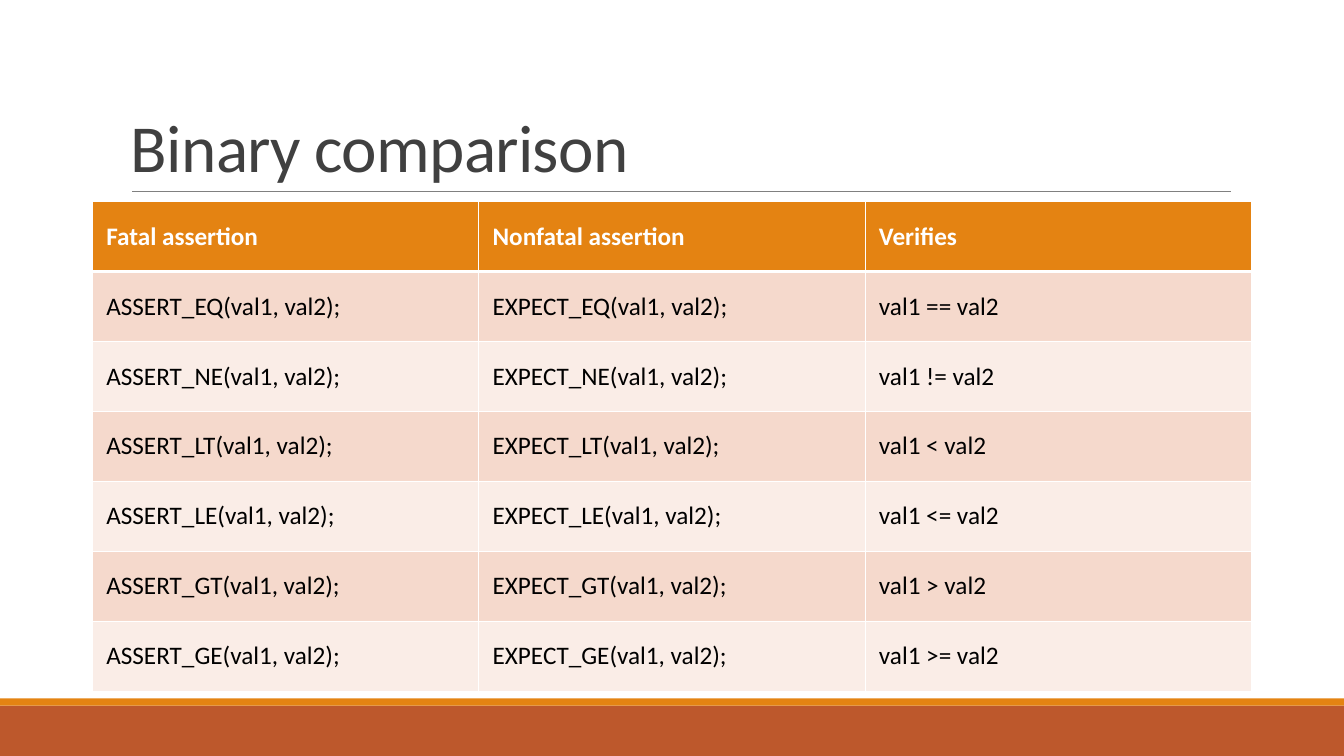
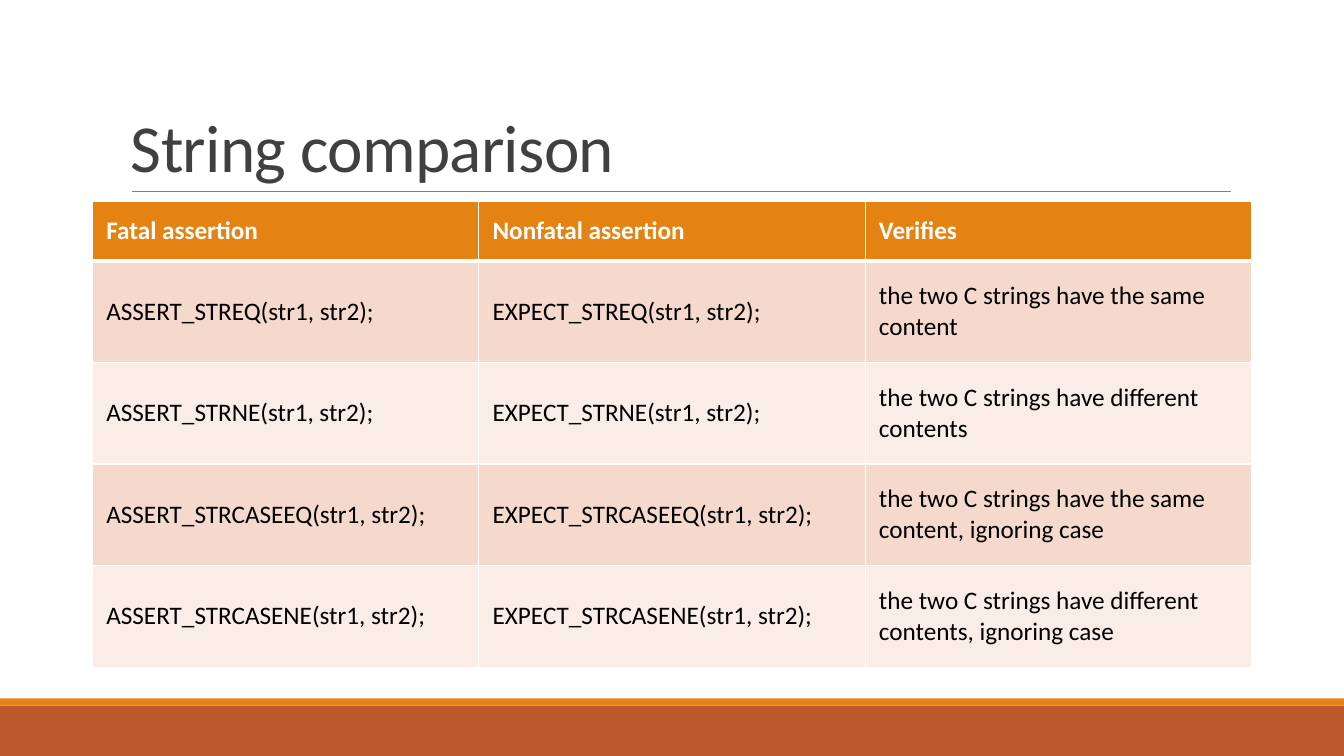
from lxml import etree
from pptx import Presentation
from pptx.dml.color import RGBColor
from pptx.enum.shapes import MSO_CONNECTOR, MSO_SHAPE
from pptx.enum.text import MSO_ANCHOR
from pptx.oxml.ns import qn
from pptx.util import Cm, Pt

RECTANGLE = MSO_SHAPE.RECTANGLE
STRAIGHT = MSO_CONNECTOR.STRAIGHT
MIDDLE, BOTTOM = MSO_ANCHOR.MIDDLE, MSO_ANCHOR.BOTTOM

FONT = "Calibri"
COLORS = {
    "band": "BD582C",
    "accent": "E48312",
    "rule": "808080",
    "title": "404040",
    "header_text": "FFFFFF",
    "body_text": "000000",
    "border": "FFFFFF",
    "odd_row": "F5D9CC",
    "even_row": "FAEDE7",
}

SLIDE_WIDTH, SLIDE_HEIGHT = Cm(33.87), Cm(19.05)
BAND_HEIGHT, ACCENT_HEIGHT = Cm(1.27), Cm(0.18)
TITLE_BOX = (Cm(3.05), Cm(0.79), Cm(27.94), Cm(4.03))
RULE_INDENT = Cm(0.28)
TABLE_LEFT, TABLE_TOP, TABLE_WIDTH = Cm(2.33), Cm(5.08), Cm(29.21)
CELL_MARGIN_X, CELL_MARGIN_Y = Cm(0.35), Cm(0.16)

HEADINGS = ("Fatal assertion", "Nonfatal assertion", "Verifies")
BINARY_CHECKS = [("EQ", "=="), ("NE", "!="), ("LT", "<"),
                 ("LE", "<="), ("GT", ">"), ("GE", ">=")]
STRING_CHECKS = [
    ("STREQ", "the two C strings have the same content"),
    ("STRNE", "the two C strings have different contents"),
    ("STRCASEEQ", "the two C strings have the same content, ignoring case"),
    ("STRCASENE", "the two C strings have different contents, ignoring case"),
]


def color(name):
    """Return the palette colour with this name."""
    return RGBColor.from_string(COLORS[name])


def style_run(run, size, color_name, bold=False):
    """Set font, size, colour and weight of a run."""
    run.font.name = FONT
    run.font.size = Pt(size)
    run.font.bold = bold
    run.font.color.rgb = color(color_name)


def add_band(slide, top, height, color_name):
    """Draw a band across the whole slide."""
    band = slide.shapes.add_shape(RECTANGLE, 0, top, SLIDE_WIDTH, height)
    band.shadow.inherit = False
    band.fill.solid()
    band.fill.fore_color.rgb = color(color_name)
    band.line.fill.background()


def add_footer(slide):
    """Draw the footer band with the thin accent band above it."""
    band_top = SLIDE_HEIGHT - BAND_HEIGHT
    add_band(slide, band_top, BAND_HEIGHT, "band")
    add_band(slide, band_top - ACCENT_HEIGHT, ACCENT_HEIGHT, "accent")


def add_title(slide, title, box):
    """Write the title at the foot of its box and rule a line below it."""
    left, top, width, height = box
    rule_y = top + height
    rule = slide.shapes.add_connector(
        STRAIGHT, left + RULE_INDENT, rule_y, left + width + RULE_INDENT // 10, rule_y)
    rule.line.color.rgb = color("rule")
    rule.line.width = Pt(0.5)
    etree.SubElement(rule.element.spPr, qn("a:effectLst"))

    frame = slide.shapes.add_textbox(*box).text_frame
    frame.word_wrap = True
    frame.vertical_anchor = BOTTOM
    frame.text = title
    heading = frame.paragraphs[0]
    heading.line_spacing = 0.85
    style_run(heading.runs[0], 48, "title")
    heading.runs[0].font._element.set("spc", "-50")


def add_borders(cell, top_width, bottom_width):
    """Give a cell its border lines, which precede the fill in the XML."""
    properties = cell._tc.get_or_add_tcPr()
    widths = {"lnL": 1, "lnR": 1, "lnT": top_width, "lnB": bottom_width}
    for position, (side, width) in enumerate(widths.items()):
        border = etree.Element(qn(f"a:{side}"), w=str(Pt(width)))
        fill = etree.SubElement(border, qn("a:solidFill"))
        etree.SubElement(fill, qn("a:srgbClr"), val=COLORS["border"])
        properties.insert(position, border)


def fill_cell(cell, text, row_index):
    """Write and style one cell by the row it stands in."""
    is_header = row_index == 0
    row_color = "accent" if is_header else "odd_row" if row_index % 2 else "even_row"
    cell.text = text
    cell.vertical_anchor = MIDDLE
    cell.margin_left = cell.margin_right = CELL_MARGIN_X
    cell.margin_top = cell.margin_bottom = CELL_MARGIN_Y
    cell.fill.solid()
    cell.fill.fore_color.rgb = color(row_color)
    style_run(cell.text_frame.paragraphs[0].runs[0], 18,
              "header_text" if is_header else "body_text", is_header)
    add_borders(cell, 3 if row_index == 1 else 1, 3 if is_header else 1)


def add_assertion_table(slide, rows, box, header_height):
    """Fill the box with equal columns, a header and equal body rows."""
    left, top, width, height = box
    lines = [HEADINGS, *rows]
    table = slide.shapes.add_table(len(lines), len(HEADINGS), *box).table
    for column in table.columns:
        column.width = width // len(HEADINGS)
    body_height = (height - header_height) // len(rows)
    for row_index, line in enumerate(lines):
        table.rows[row_index].height = body_height if row_index else header_height
        for column_index, text in enumerate(line):
            fill_cell(table.cell(row_index, column_index), text, row_index)


def assertion_rows(checks, arguments):
    """Pair the fatal and nonfatal macro of each check with its meaning."""
    return [(f"ASSERT_{name}({arguments});", f"EXPECT_{name}({arguments});", meaning)
            for name, meaning in checks]


def build_comparison_slide(deck, title, rows, table_height, header_height):
    """Add a slide with footer, title and assertion table."""
    slide = deck.slides.add_slide(deck.slide_layouts[6])
    add_footer(slide)
    add_title(slide, title, TITLE_BOX)
    table_box = (TABLE_LEFT, TABLE_TOP, TABLE_WIDTH, table_height)
    add_assertion_table(slide, rows, table_box, header_height)


deck = Presentation()
deck.slide_width, deck.slide_height = SLIDE_WIDTH, SLIDE_HEIGHT

binary_checks = [(name, f"val1 {operator} val2") for name, operator in BINARY_CHECKS]
build_comparison_slide(deck, "Binary comparison",
                       assertion_rows(binary_checks, "val1, val2"), Cm(12.34), Cm(1.76))
build_comparison_slide(deck, "String comparison",
                       assertion_rows(STRING_CHECKS, "str1, str2"), Cm(11.73), Cm(1.49))

deck.save("out.pptx")
